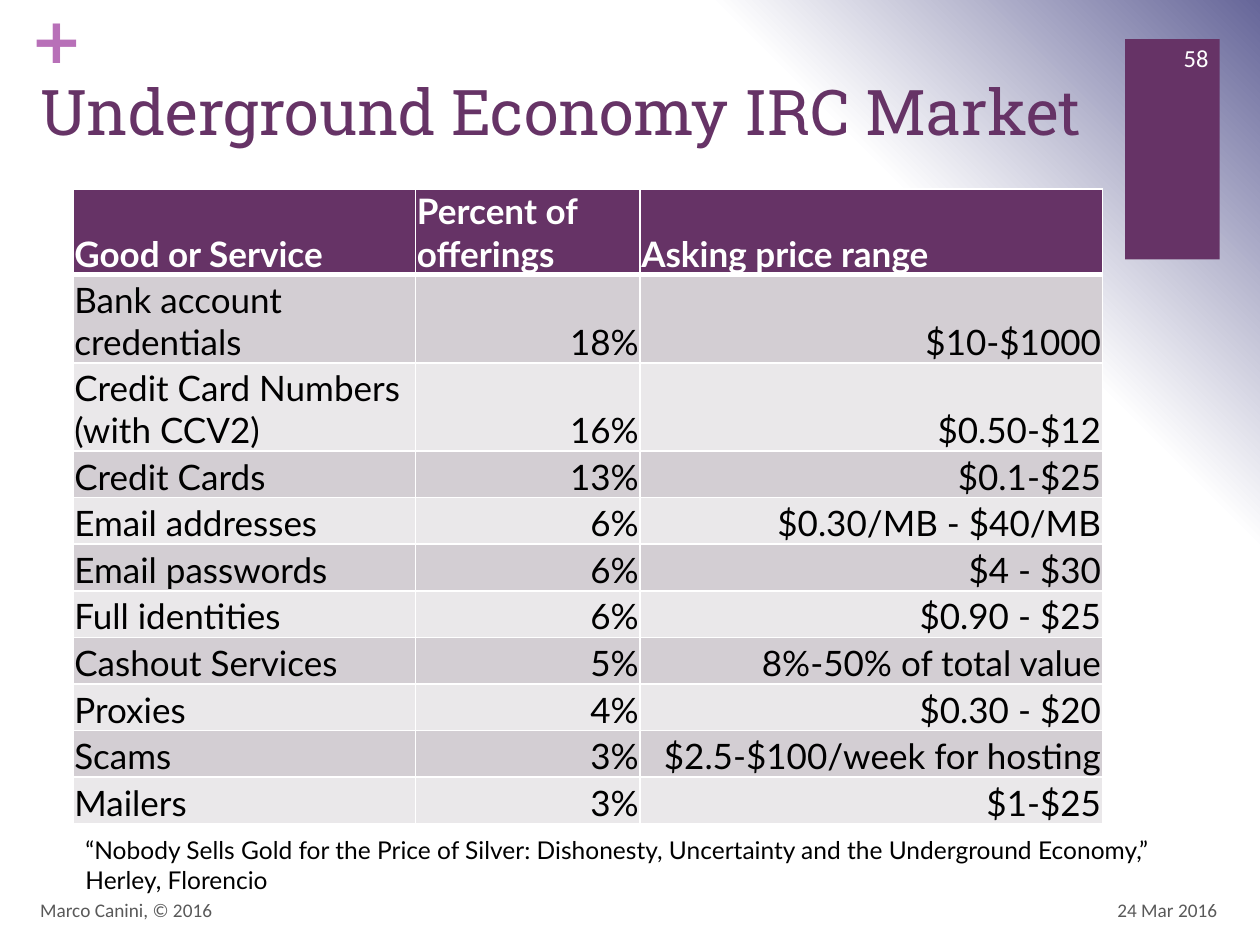
from lxml import etree
from pptx import Presentation
from pptx.dml.color import RGBColor
from pptx.enum import shapes, text
from pptx.oxml import parse_xml
from pptx.oxml.ns import nsdecls, qn
from pptx.util import Inches, Pt

HUES = {"plum": "663366", "pink": "B870B8", "grey": "595959", "white": "FFFFFF",
        "black": "000000", "dark": "D3CED3", "light": "EAE8EA", "blue": "666699"}
ROWS = [
    ("Good or Service", "Percent of offerings", "Asking price range"),
    ("Bank account credentials", "18%", "$10-$1000"),
    ("Credit Card Numbers (with CCV2)", "16%", "$0.50-$12"),
    ("Credit Cards", "13%", "$0.1-$25"),
    ("Email addresses", "6%", "$0.30/MB - $40/MB"),
    ("Email passwords", "6%", "$4 - $30"),
    ("Full identities", "6%", "$0.90 - $25"),
    ("Cashout Services", "5%", "8%-50% of total value"),
    ("Proxies", "4%", "$0.30 - $20"),
    ("Scams", "3%", "$2.5-$100/week for hosting"),
    ("Mailers", "3%", "$1-$25"),
]
WIDE = [2.72, 1.78, 3.67]
HIGH = [0.68, 0.7, 0.7] + [0.37] * 8
LEFT, RIGHT = text.PP_ALIGN.LEFT, text.PP_ALIGN.RIGHT
TOP, MID, LOW = text.MSO_ANCHOR.TOP, text.MSO_ANCHOR.MIDDLE, text.MSO_ANCHOR.BOTTOM


class Deck:
    """Holds the style and the current slide, and draws each kind of element."""

    def __init__(self):
        self.prs = Presentation()
        self.prs.slide_width, self.prs.slide_height = Inches(10), Inches(7.5)
        self.slide = self.prs.slides.add_slide(self.prs.slide_layouts[6])

    def color(self, name):
        return RGBColor.from_string(HUES[name])

    def glow(self, stops):
        marks = "".join(f'<a:gs pos="{pos * 1000}"><a:srgbClr val="{HUES[hue]}"/></a:gs>'
                        for pos, hue in stops)
        back = parse_xml(
            f'<p:bg {nsdecls("p", "a")}><p:bgPr><a:gradFill rotWithShape="1">'
            f'<a:gsLst>{marks}</a:gsLst><a:path path="circle">'
            '<a:fillToRect t="100000" r="100000"/></a:path></a:gradFill>'
            '<a:effectLst/></p:bgPr></p:bg>')
        self.slide.element.cSld.insert(0, back)

    def block(self, box, hue):
        item = self.slide.shapes.add_shape(shapes.MSO_SHAPE.RECTANGLE, *map(Inches, box))
        item.shadow.inherit = False
        item.fill.solid()
        item.fill.fore_color.rgb = self.color(hue)
        item.line.fill.background()

    def style(self, frame, words, size, face, hue, bold=False, side=LEFT):
        para = frame.paragraphs[0]
        para.text = words
        para.alignment = side
        for run in para.runs:
            run.font.size, run.font.name, run.font.bold = Pt(size), face, bold
            run.font.color.rgb = self.color(hue)

    def label(self, box, words, size, face, hue, bold=False, side=LEFT,
              anchor=TOP, wrap=True, pad=True):
        frame = self.slide.shapes.add_textbox(*map(Inches, box)).text_frame
        frame.word_wrap, frame.vertical_anchor = wrap, anchor
        if not pad:
            frame.margin_left = frame.margin_right = 0
            frame.margin_top = frame.margin_bottom = 0
        self.style(frame, words, size, face, hue, bold, side)

    def edge(self, cell, row):
        props = cell._tc.get_or_add_tcPr()
        thick = {"T": 3 if row == 1 else 1, "B": 3 if row == 0 else 1}
        for spot, side in enumerate("LRTB"):
            line = etree.Element(qn(f"a:ln{side}"), w=str(Pt(thick.get(side, 1))))
            fill = etree.SubElement(line, qn("a:solidFill"))
            etree.SubElement(fill, qn("a:srgbClr"), val=HUES["white"])
            props.insert(spot, line)

    def grid(self, left, top, rows, wide, high):
        box = map(Inches, (left, top, sum(wide), sum(high)))
        table = self.slide.shapes.add_table(len(rows), len(wide), *box).table
        for col, width in zip(table.columns, wide):
            col.width = Inches(width)
        for row, height in zip(table.rows, high):
            row.height = Inches(height)
        for r, line in enumerate(rows):
            head = r == 0
            for c, words in enumerate(line):
                cell = table.cell(r, c)
                cell.margin_left = cell.margin_right = cell.margin_top = Inches(0.01)
                cell.margin_bottom = 0
                cell.vertical_anchor = LOW
                cell.fill.solid()
                cell.fill.fore_color.rgb = self.color(
                    "plum" if head else "dark" if r % 2 else "light")
                self.style(cell.text_frame, words, 20, "Lato",
                           "white" if head else "black", head,
                           LEFT if head or c == 0 else RIGHT)
                self.edge(cell, r)


def main():
    deck = Deck()
    deck.glow([(0, "white"), (75, "white"), (100, "blue")])
    deck.block((8.93, 0.31, 0.75, 1.75), "plum")
    deck.label((0.24, 0, 0.29, 0.61), "+", 36, "DejaVu Sans", "pink", True,
               wrap=False, pad=False)
    deck.label((0.22, 0.53, 8.59, 1.22), "Underground Economy IRC Market",
               36, "Roboto Slab", "plum")
    deck.label((7.43, 7.02, 2.33, 0.4), "24 Mar 2016", 11, "Calibri", "grey",
               side=RIGHT, anchor=MID)
    deck.label((0.22, 7.02, 6.7, 0.4), "Marco Canini, © 2016", 11, "Calibri", "grey",
               anchor=MID)
    deck.label((9.08, 0.26, 0.61, 0.4), "58", 14, "Calibri", "white",
               side=RIGHT, anchor=MID)
    deck.grid(0.58, 1.5, ROWS, WIDE, HIGH)
    deck.label((0.58, 6.58, 8.77, 0.57),
               "“Nobody Sells Gold for the Price of Silver: Dishonesty, Uncertainty "
               "and the Underground Economy,”\nHerley, Florencio",
               14, "Lato", "black", wrap=False)
    deck.prs.save("out.pptx")


if __name__ == "__main__":
    main()
